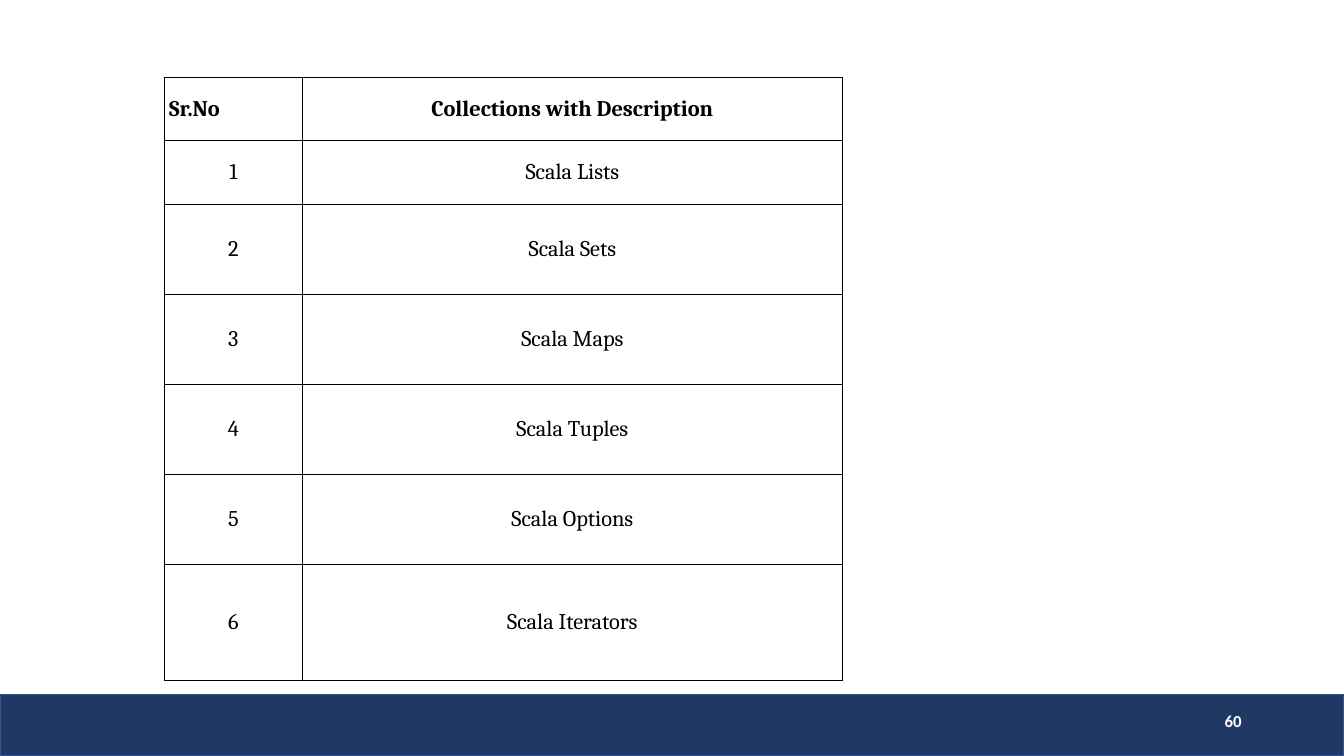
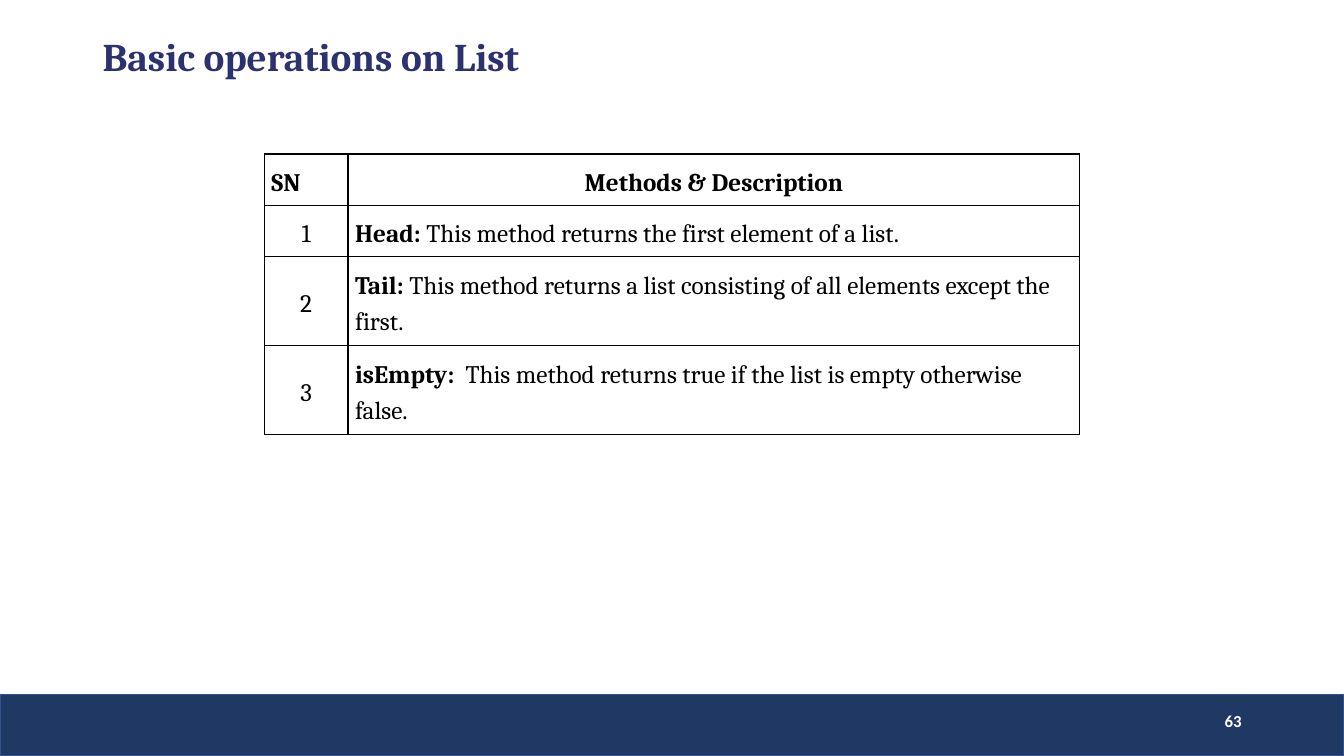
from dataclasses import dataclass

from lxml.etree import SubElement
from pptx import Presentation
from pptx.dml.color import RGBColor
from pptx.enum.shapes import MSO_SHAPE as Shape
from pptx.enum.text import MSO_ANCHOR as Anchor, MSO_AUTO_SIZE as AutoSize, PP_ALIGN as Align
from pptx.oxml import parse_xml
from pptx.oxml.ns import nsdecls, qn
from pptx.util import Cm, Pt


@dataclass(frozen=True)
class Theme:
    band: str = "203864"
    band_line: str = "325491"
    page_number: str = "FFFFFF"
    title: str = "2C326F"
    text: str = "000000"
    border: str = "000000"
    serif: str = "Cambria"
    sans: str = "Calibri"
    title_size: int = 28
    number_size: int = 12
    line_width: float = 1


@dataclass(frozen=True)
class Box:
    left: float
    top: float
    width: float
    height: float

    def lengths(self):
        return Cm(self.left), Cm(self.top), Cm(self.width), Cm(self.height)


@dataclass(frozen=True)
class TableStyle:
    size: int
    margin: float
    line_spacing: float
    body_align: Align


THEME = Theme()
PAGE = Box(0, 0, 33.87, 19.05)
BAND = Box(0, 17.5, PAGE.width, 1.55)
TITLE = Box(2.33, 0.81, 28.7, 1.5)

COLLECTIONS_STYLE = TableStyle(16, 0.12, 1, Align.CENTER)
METHODS_STYLE = TableStyle(18, 0.18, 1.25, Align.LEFT)

COLLECTIONS = ["Lists", "Sets", "Maps", "Tuples", "Options", "Iterators"]
METHODS = [
    ("Head: ", "This method returns the first element of a list."),
    ("Tail: ", "This method returns a list consisting of all elements except the first."),
    ("isEmpty:  ", "This method returns true if the list is empty otherwise false."),
]


def style_font(font, name, size, color, bold=None):
    font.name = name
    font.size = Pt(size)
    font.color.rgb = RGBColor.from_string(color)
    font.bold = bold


def add_master_band(deck, page, box):
    """Draw the footer band and move it to the master, behind every page."""
    band = page.shapes.add_shape(Shape.RECTANGLE, *box.lengths())
    band.shadow.inherit = False
    band.fill.solid()
    band.fill.fore_color.rgb = RGBColor.from_string(THEME.band)
    band.line.color.rgb = RGBColor.from_string(THEME.band_line)
    band.line.width = Pt(THEME.line_width)
    deck.slide_master.element.cSld.spTree.insert(2, band.element)


def add_page_number(page, number, box):
    """Place the number in the given band, near its right end."""
    width, height = 7.62, 1.02
    place = Box(box.left + box.width - width - 2.33, box.top + 0.15, width, height)
    frame = page.shapes.add_textbox(*place.lengths()).text_frame
    frame.word_wrap = True
    frame.vertical_anchor = Anchor.MIDDLE
    para = frame.paragraphs[0]
    para.text = str(number)
    para.alignment = Align.RIGHT
    style_font(para.font, THEME.sans, THEME.number_size, THEME.page_number, True)


def set_title(page, text, box):
    title = page.shapes.title
    title.left, title.top, title.width, title.height = box.lengths()
    frame = title.text_frame
    frame.auto_size = AutoSize.NONE
    frame.vertical_anchor = Anchor.TOP
    para = frame.paragraphs[0]
    para.text = text
    para.alignment = Align.LEFT
    para.line_spacing = 0.9
    style_font(para.font, THEME.serif, THEME.title_size, THEME.title, True)


def set_borders(cell):
    properties = cell._tc.get_or_add_tcPr()
    for position, side in enumerate(("lnL", "lnR", "lnT", "lnB")):
        line = parse_xml(f'<a:{side} {nsdecls("a")} w="{Pt(THEME.line_width)}"/>')
        fill = SubElement(line, qn("a:solidFill"))
        SubElement(fill, qn("a:srgbClr"), val=THEME.border)
        properties.insert(position, line)


def fill_cell(cell, parts, align, style):
    """Write parts, pairs of text and boldness, into the cell."""
    cell.fill.background()
    set_borders(cell)
    cell.vertical_anchor = Anchor.MIDDLE
    cell.margin_left = cell.margin_right = Cm(style.margin)
    cell.margin_top = cell.margin_bottom = Cm(style.margin)
    para = cell.text_frame.paragraphs[0]
    para.alignment = align
    para.line_spacing = style.line_spacing
    style_font(para.font, THEME.serif, style.size, THEME.text)
    for text, bold in parts:
        span = para.add_run()
        span.text = text
        style_font(span.font, THEME.serif, style.size, THEME.text, bold)


def add_numbered_table(page, box, number_width, heights, headers, entries, style):
    """Add a table whose first column counts the entries."""
    table = page.shapes.add_table(len(heights), 2, *box.lengths()).table
    table.first_row = table.horz_banding = False
    for column, width in zip(table.columns, (number_width, box.width - number_width)):
        column.width = Cm(width)
    for row, height in zip(table.rows, heights):
        row.height = Cm(height)
    for column, (text, align) in enumerate(zip(headers, (Align.LEFT, Align.CENTER))):
        fill_cell(table.cell(0, column), [(text, True)], align, style)
    for number, parts in enumerate(entries, 1):
        fill_cell(table.cell(number, 0), [(str(number), False)], Align.CENTER, style)
        fill_cell(table.cell(number, 1), parts, style.body_align, style)


def build_collections(page):
    heights = [1.6] * 2 + [2.27] * 4 + [2.92]
    entries = [[(f"Scala {name}", False)] for name in COLLECTIONS]
    add_numbered_table(page, Box(4.14, 1.95, 17.09, sum(heights)), 3.48, heights,
                       ("Sr.No", "Collections with Description"), entries, COLLECTIONS_STYLE)
    add_page_number(page, 60, BAND)


def build_list_operations(page):
    set_title(page, "Basic operations on List", TITLE)
    heights = [1.29] * 2 + [2.24] * 2
    entries = [[(name, True), (description, False)] for name, description in METHODS]
    add_numbered_table(page, Box(6.66, 3.88, 20.55, sum(heights)), 2.11, heights,
                       ("SN", "Methods & Description"), entries, METHODS_STYLE)
    add_page_number(page, 63, BAND)


def main():
    deck = Presentation()
    deck.slide_width, deck.slide_height = Cm(PAGE.width), Cm(PAGE.height)
    title_only, blank = deck.slide_layouts[5], deck.slide_layouts[6]
    collections_page = deck.slides.add_slide(blank)
    add_master_band(deck, collections_page, BAND)
    build_collections(collections_page)
    build_list_operations(deck.slides.add_slide(title_only))
    deck.save("out.pptx")


if __name__ == "__main__":
    main()
